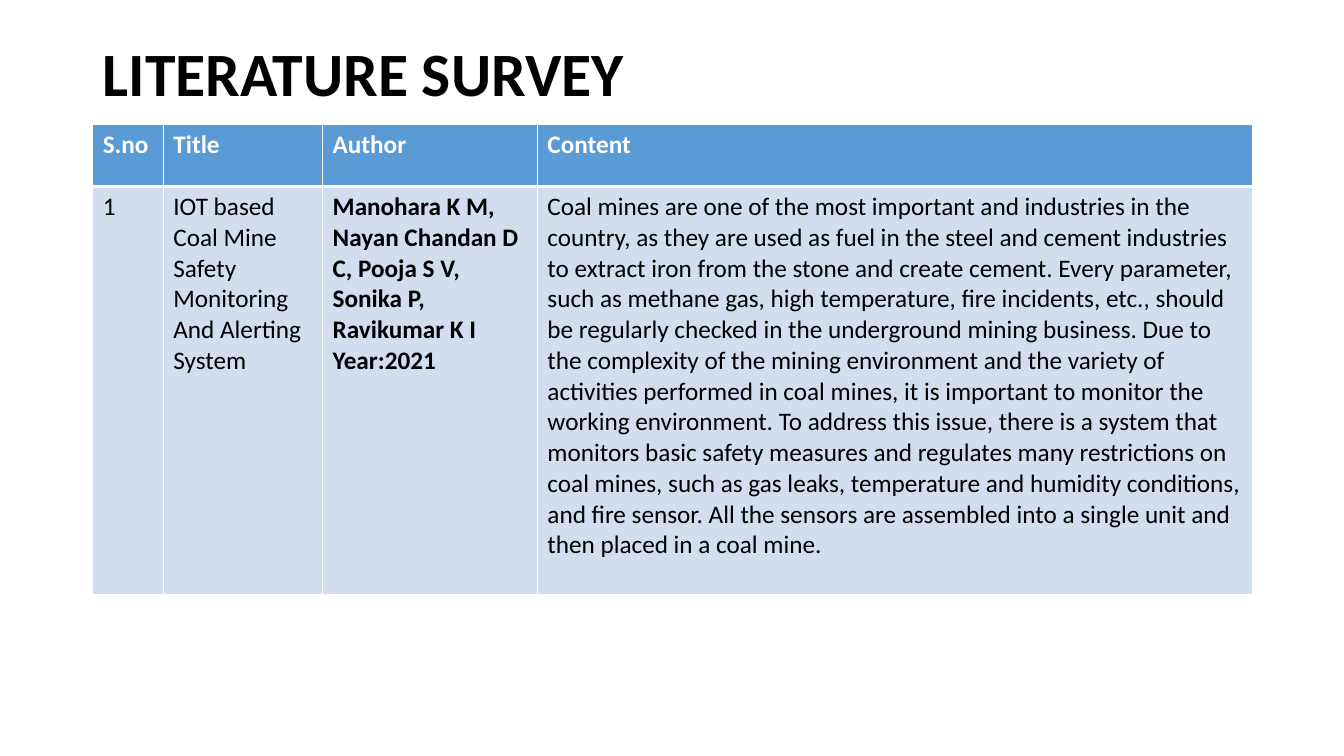
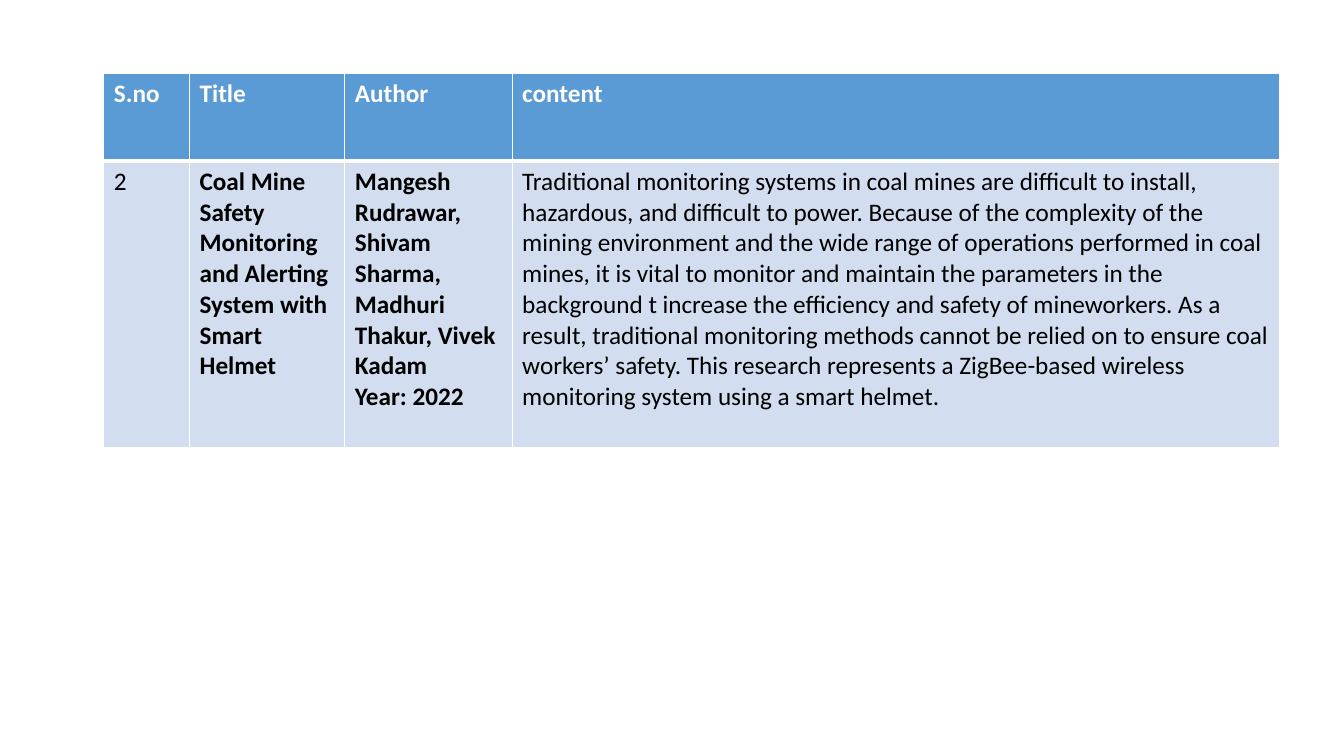
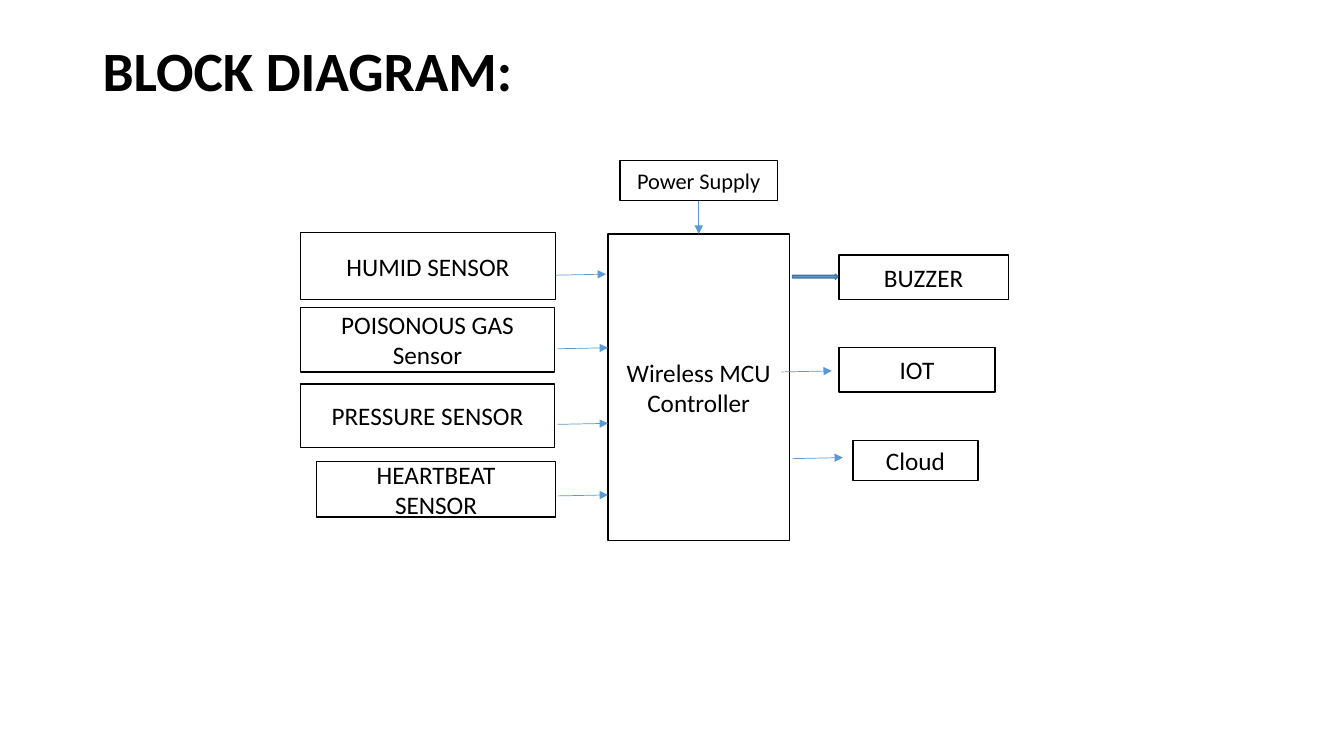
"""Builds a literature survey in two tables and a block diagram of a mine safety system."""
from pptx import Presentation
from pptx.dml.color import RGBColor
from pptx.enum.shapes import MSO_CONNECTOR, MSO_SHAPE
from pptx.enum.text import MSO_ANCHOR, PP_ALIGN
from pptx.oxml.ns import qn
from pptx.util import Pt
from lxml import etree

PX = 9144
BLANK_LAYOUT = 6
STRAIGHT = MSO_CONNECTOR.STRAIGHT
RECTANGLE, RIGHT_ARROW = MSO_SHAPE.RECTANGLE, MSO_SHAPE.RIGHT_ARROW
MIDDLE, CENTER = MSO_ANCHOR.MIDDLE, PP_ALIGN.CENTER


class Theme:
    """Colours, font and type sizes of the deck."""
    font = "Calibri"
    ink, paper = "000000", "FFFFFF"
    accent, accent_edge, band = "5B9BD5", "43739E", "D2DEEF"
    title, diagram_title, body, small = 44, 39.6, 18, 16
    thin, normal, thick = 0.5, 1, 3


SURVEYS = [
    {
        "title": "LITERATURE SURVEY",
        "left": 92, "top": 123, "columns": (70, 158, 213, 709), "rows": (62, 405),
        "header": ("S.no", "Title", "Author", "Content"),
        "entry": (
            "1",
            "IOT based Coal Mine Safety Monitoring And Alerting System",
            "Manohara K M, Nayan Chandan D C, Pooja S V, Sonika P, Ravikumar K I\nYear:2021",
            "Coal mines are one of the most important and industries in the country, as they "
            "are used as fuel in the steel and cement industries to extract iron from the stone "
            "and create cement. Every parameter, such as methane gas, high temperature, fire "
            "incidents, etc., should be regularly checked in the underground mining business. "
            "Due to the complexity of the mining environment and the variety of activities "
            "performed in coal mines, it is important to monitor the working environment. To "
            "address this issue, there is a system that monitors basic safety measures and "
            "regulates many restrictions on coal mines, such as gas leaks, temperature and "
            "humidity conditions, and fire sensor. All the sensors are assembled into a single "
            "unit and then placed in a coal mine.",
        ),
        "bold_columns": (2,),
    },
    {
        "title": None,
        "left": 103, "top": 73, "columns": (85, 154, 166, 761), "rows": (87, 284),
        "header": ("S.no", "Title", "Author", "content"),
        "entry": (
            "2",
            "Coal Mine Safety Monitoring and Alerting System with Smart Helmet",
            "Mangesh Rudrawar, Shivam Sharma, Madhuri Thakur, Vivek Kadam\nYear: 2022",
            "Traditional monitoring systems in coal mines are difficult to install, hazardous, "
            "and difficult to power. Because of the complexity of the mining environment and "
            "the wide range of operations performed in coal mines, it is vital to monitor and "
            "maintain the parameters in the background t increase the efficiency and safety of "
            "mineworkers. As a result, traditional monitoring methods cannot be relied on to "
            "ensure coal workers’ safety. This research represents a ZigBee-based wireless "
            "monitoring system using a smart helmet.",
        ),
        "bold_columns": (1, 2),
    },
]

DIAGRAM_TITLE = "BLOCK DIAGRAM:"
BLOCKS = [
    ("Wireless MCU\nController", (603, 232, 180, 304), Theme.body),
    ("HUMID SENSOR", (298, 231, 253, 66), Theme.body),
    ("POISONOUS GAS Sensor", (298, 305, 252, 64), Theme.body),
    ("PRESSURE SENSOR", (298, 381, 252, 63), Theme.body),
    ("HEARTBEAT\nSENSOR", (314, 458, 237, 55), Theme.body),
    ("IOT", (832, 345, 155, 44), Theme.body),
    ("Power Supply", (615, 159, 156, 40), Theme.small),
    ("Cloud", (846, 437, 124, 40), Theme.body),
    ("BUZZER", (832, 253, 168, 44), Theme.body),
]
SIGNAL_STARTS = [(551, 273), (553, 346), (553, 421), (553, 492), (786, 455), (775, 369)]
SIGNAL_RUN, SIGNAL_RISE = 50, 1
POWER_LINE = (693, 199, 693, 232)
BUZZER_ARROW = (786, 272, 45, 5)


def px(*lengths):
    return [length * PX for length in lengths]


def rgb(colour):
    return RGBColor.from_string(colour)


def write(frame, text, size, colour=Theme.ink, bold=False, align=None, spacing=None):
    frame.word_wrap = True
    frame.text = text
    for paragraph in frame.paragraphs:
        paragraph.alignment = align
        paragraph.line_spacing = spacing
        font = paragraph.font
        font.name, font.size, font.bold = Theme.font, Pt(size), bold
        font.color.rgb = rgb(colour)


def add_title(slide, text, size, height):
    frame = slide.shapes.add_textbox(*px(92, 40, 1150, height)).text_frame
    frame.vertical_anchor = MIDDLE
    write(frame, text, size, bold=True, spacing=0.9)


def set_borders(cell, **widths):
    properties = cell._tc.get_or_add_tcPr()
    for position, side in enumerate("LRTB"):
        width = Pt(widths.get(side, Theme.normal))
        border = etree.Element(qn(f"a:ln{side}"), w=str(width))
        fill = etree.SubElement(border, qn("a:solidFill"))
        etree.SubElement(fill, qn("a:srgbClr"), val=Theme.paper)
        properties.insert(position, border)


def add_survey(slide, survey):
    columns, rows = survey["columns"], survey["rows"]
    area = px(survey["left"], survey["top"], sum(columns), sum(rows))
    table = slide.shapes.add_table(len(rows), len(columns), *area).table
    for row, height in zip(table.rows, px(*rows)):
        row.height = height
    for index, width in enumerate(px(*columns)):
        table.columns[index].width = width
        header, entry = table.cell(0, index), table.cell(1, index)
        write(header.text_frame, survey["header"][index], Theme.body, Theme.paper, True)
        write(entry.text_frame, survey["entry"][index], Theme.body,
              bold=index in survey["bold_columns"])
        for cell, colour in ((header, Theme.accent), (entry, Theme.band)):
            cell.fill.solid()
            cell.fill.fore_color.rgb = rgb(colour)
        set_borders(header, B=Theme.thick)
        set_borders(entry, T=Theme.thick)


def add_block(slide, kind, area, fill, edge):
    block = slide.shapes.add_shape(kind, *px(*area))
    block.shadow.inherit = False
    block.fill.solid()
    block.fill.fore_color.rgb = rgb(fill)
    block.line.color.rgb = rgb(edge)
    block.line.width = Pt(Theme.normal)
    return block


def add_arrow(slide, *ends):
    arrow = slide.shapes.add_connector(STRAIGHT, *px(*ends))
    arrow.line.color.rgb = rgb(Theme.accent)
    arrow.line.width = Pt(Theme.thin)
    etree.SubElement(arrow.line._get_or_add_ln(), qn("a:tailEnd"), type="triangle")
    etree.SubElement(arrow._element.spPr, qn("a:effectLst"))


def add_diagram(slide):
    for label, area, size in BLOCKS:
        frame = add_block(slide, RECTANGLE, area, Theme.paper, Theme.ink).text_frame
        frame.vertical_anchor = MIDDLE
        write(frame, label, size, align=CENTER)
    for x, y in SIGNAL_STARTS:
        add_arrow(slide, x, y, x + SIGNAL_RUN, y - SIGNAL_RISE)
    add_arrow(slide, *POWER_LINE)
    add_block(slide, RIGHT_ARROW, BUZZER_ARROW, Theme.accent, Theme.accent_edge)


def main():
    deck = Presentation()
    deck.slide_width, deck.slide_height = px(1333, 750)
    layout = deck.slide_layouts[BLANK_LAYOUT]
    for survey in SURVEYS:
        slide = deck.slides.add_slide(layout)
        if survey["title"]:
            add_title(slide, survey["title"], Theme.title, 72)
        add_survey(slide, survey)
    slide = deck.slides.add_slide(layout)
    add_title(slide, DIAGRAM_TITLE, Theme.diagram_title, 66)
    add_diagram(slide)
    deck.save("out.pptx")


if __name__ == "__main__":
    main()
